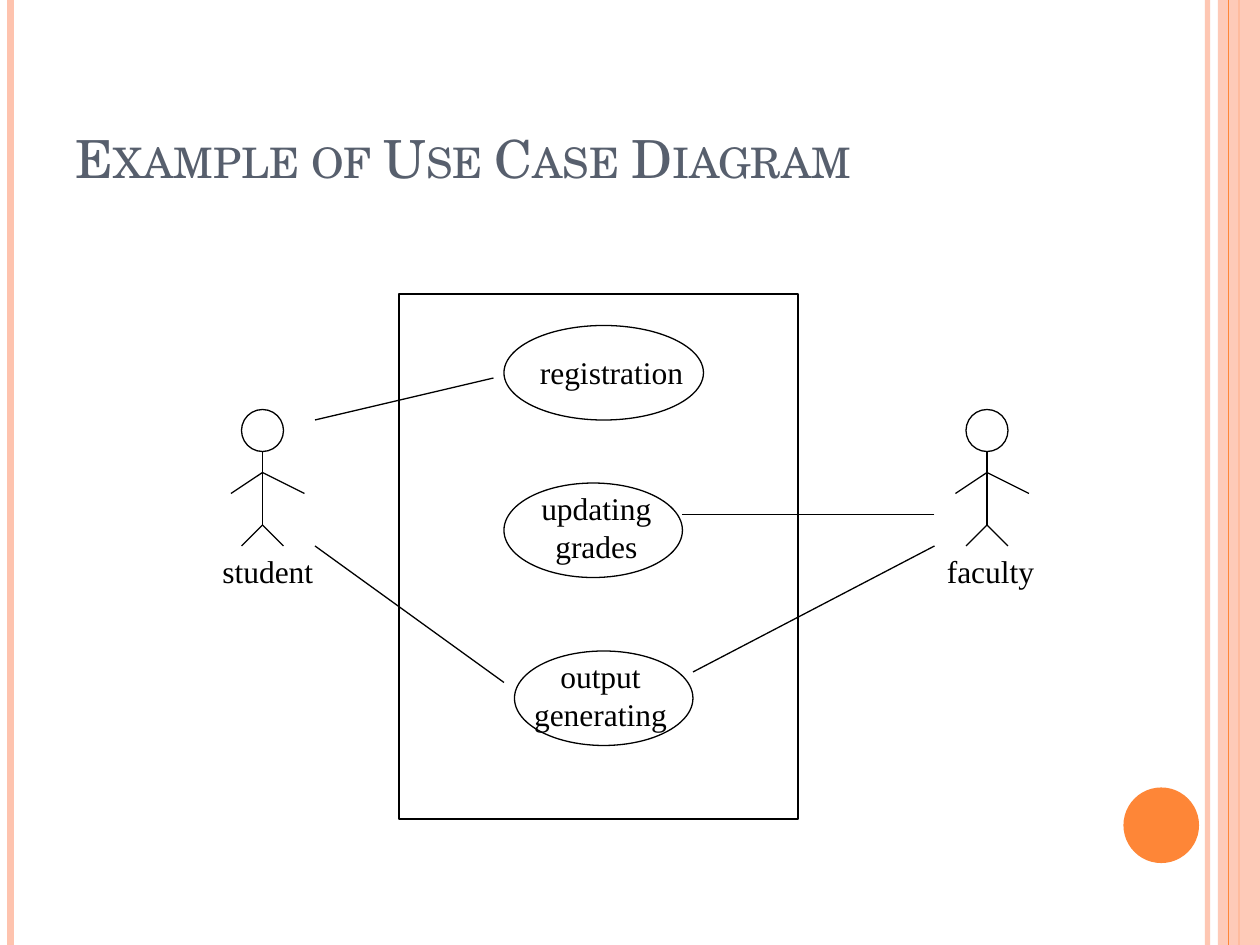
import pptx
import pptx.util
import pptx.dml.color
import pptx.enum.shapes
import pptx.enum.text
import pptx.oxml
from pptx.oxml.ns import qn

SHAPE = pptx.enum.shapes.MSO_SHAPE
ALIGN = pptx.enum.text.PP_ALIGN
COLS, ROWS = 120, 90
INK, PEACH, ORANGE, SLATE = "000000", "FEC3AE", "FE8637", "575F6D"

deck = pptx.Presentation()
deck.slide_width = pptx.util.Inches(10)
deck.slide_height = pptx.util.Inches(7.5)
slide = deck.slides.add_slide(deck.slide_layouts[5])


def grid(*cells):
    return [round(c * deck.slide_width / COLS) for c in cells]


def paint(fmt, color, alpha=None):
    fmt.solid()
    fmt.fore_color.rgb = pptx.dml.color.RGBColor.from_string(color)
    if alpha:
        tone = fmt._xPr.find(qn("a:solidFill"))[0]
        node = pptx.oxml.parse_xml(
            '<a:alpha xmlns:a="http://schemas.openxmlformats.org/drawingml/2006/main"'
            f' val="{alpha * 1000}"/>')
        tone.append(node)


def line(start, end, color=INK, width=0.75, alpha=None):
    link = slide.shapes.add_connector(
        pptx.enum.shapes.MSO_CONNECTOR.STRAIGHT, *grid(*start, *end))
    paint(link.line.fill, color, alpha)
    link.line.width = pptx.util.Pt(width)
    props = link._element.spPr
    props.append(props.makeelement(qn("a:effectLst"), {}))


def shape(kind, box, fill=None, alpha=None):
    item = slide.shapes.add_shape(kind, *grid(*box))
    item.shadow.inherit = False
    if fill:
        paint(item.fill, fill, alpha)
        item.line.fill.background()
    else:
        item.fill.background()
        paint(item.line.fill, INK)
        item.line.width = pptx.util.Pt(0.75)


def style(frame, font, size, color, align):
    for para in frame.paragraphs:
        para.alignment = align
        for run in para.runs:
            run.font.name = font
            run.font.size = pptx.util.Pt(size)
            paint(run.font.fill, color)


def label(box, text, align=ALIGN.LEFT):
    frame = slide.shapes.add_textbox(*grid(*box)).text_frame
    frame.word_wrap = True
    frame.text = text
    style(frame, "Times New Roman", 18, INK, align)


def border():
    for col, color, width, alpha in ((115, PEACH, 3, 93), (1, PEACH, 4.5, None),
                                     (118, ORANGE, 1.5, None)):
        line((col, 0), (col, ROWS), color, width, alpha)
    shape(SHAPE.RECTANGLE, (116, 0, 4, ROWS), PEACH, 87)
    line((117, 0), (117, ROWS), ORANGE)
    shape(SHAPE.OVAL, (107, 75, 7.2, 7.2), ORANGE)


def title(box, text):
    head = slide.shapes.title
    head.left, head.top, head.width, head.height = grid(*box)
    frame = head.text_frame
    frame.text = text
    frame.word_wrap = True
    frame.auto_size = pptx.enum.text.MSO_AUTO_SIZE.NONE
    frame.vertical_anchor = pptx.enum.text.MSO_ANCHOR.BOTTOM
    style(frame, "TeX Gyre Schola", 30, SLATE, ALIGN.LEFT)
    for run in frame.paragraphs[0].runs:
        run.font._element.set("cap", "small")


def actor(box, name):
    left, top, width, height = box
    mid = left + 5
    neck, chest, hip, foot = (top + step for step in (4, 6, 11, 13))
    shape(SHAPE.OVAL, (left + 3, top, 4, 4))
    line((mid, neck), (mid, hip))
    for joint, side, end in ((chest, 4, 8), (chest, -3, 8), (hip, 2, 13), (hip, -2, 13)):
        line((mid, joint), (mid + side, top + end))
    label((left, foot, width, height - 13), name)


def case(box, note, text):
    shape(SHAPE.OVAL, box)
    label(note, text, ALIGN.CENTER)


border()
title((6, 3.6, 98, 15), "Example of Use Case Diagram")
actor((20, 39, 13, 17.8), "student")
case((48, 31, 19, 9), (49.5, 33, 17.5, 4.8), "registration")
case((48, 46, 17, 9), (49, 46, 15.6, 8.4), "updating\ngrades")
case((49, 62, 17, 9), (49.4, 62, 15.6, 8.4), "output\ngenerating")
actor((89, 39, 12, 17.8), "faculty")
for start, end in (((30, 40), (47, 36)), ((30, 52), (48, 65)),
                   ((89, 49), (65, 49)), ((89, 52), (66, 64))):
    line(start, end)
shape(SHAPE.RECTANGLE, (38, 28, 38, 50))
deck.save("out.pptx")
